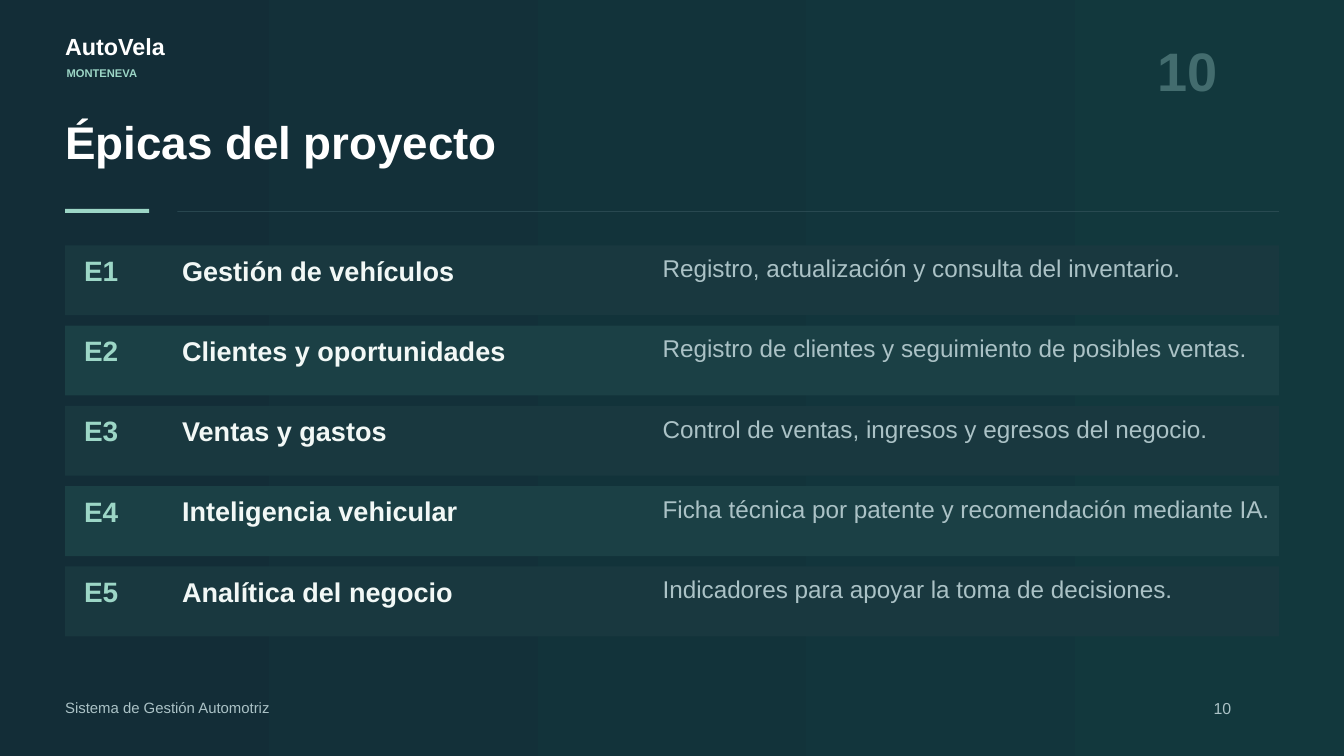
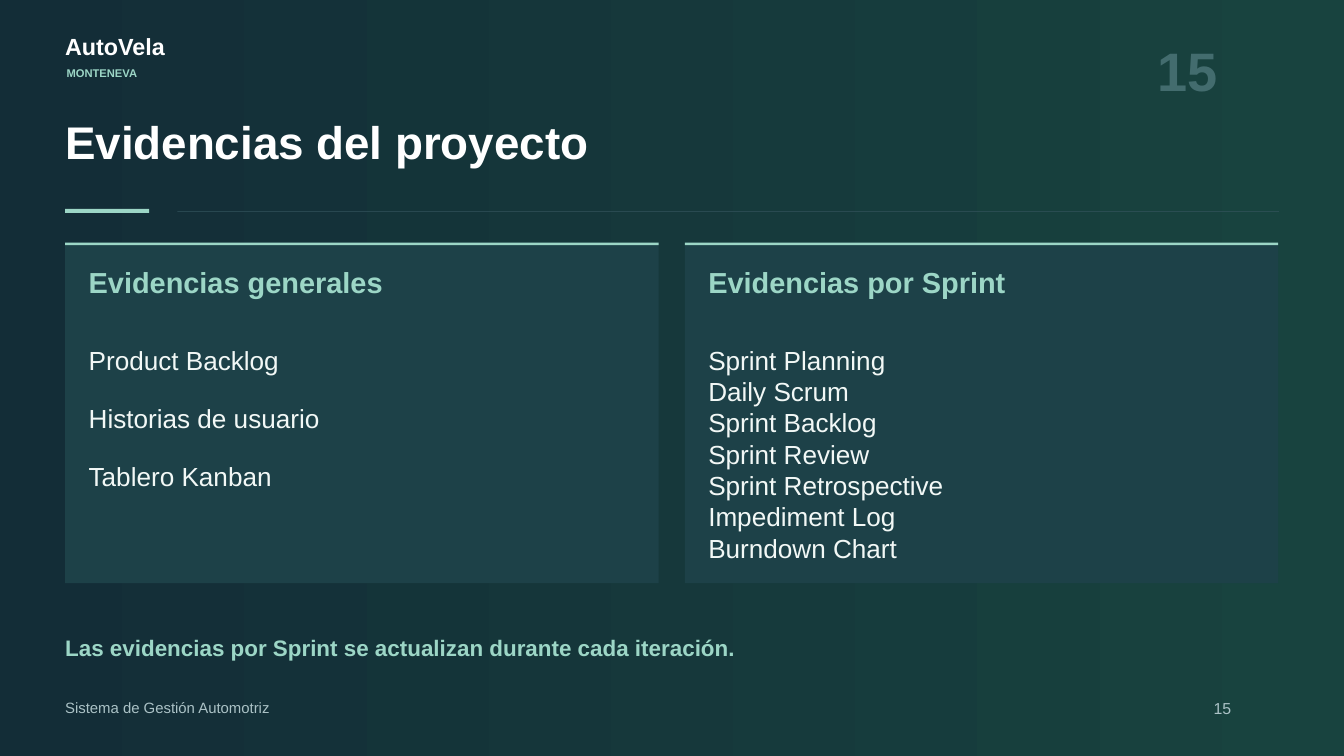
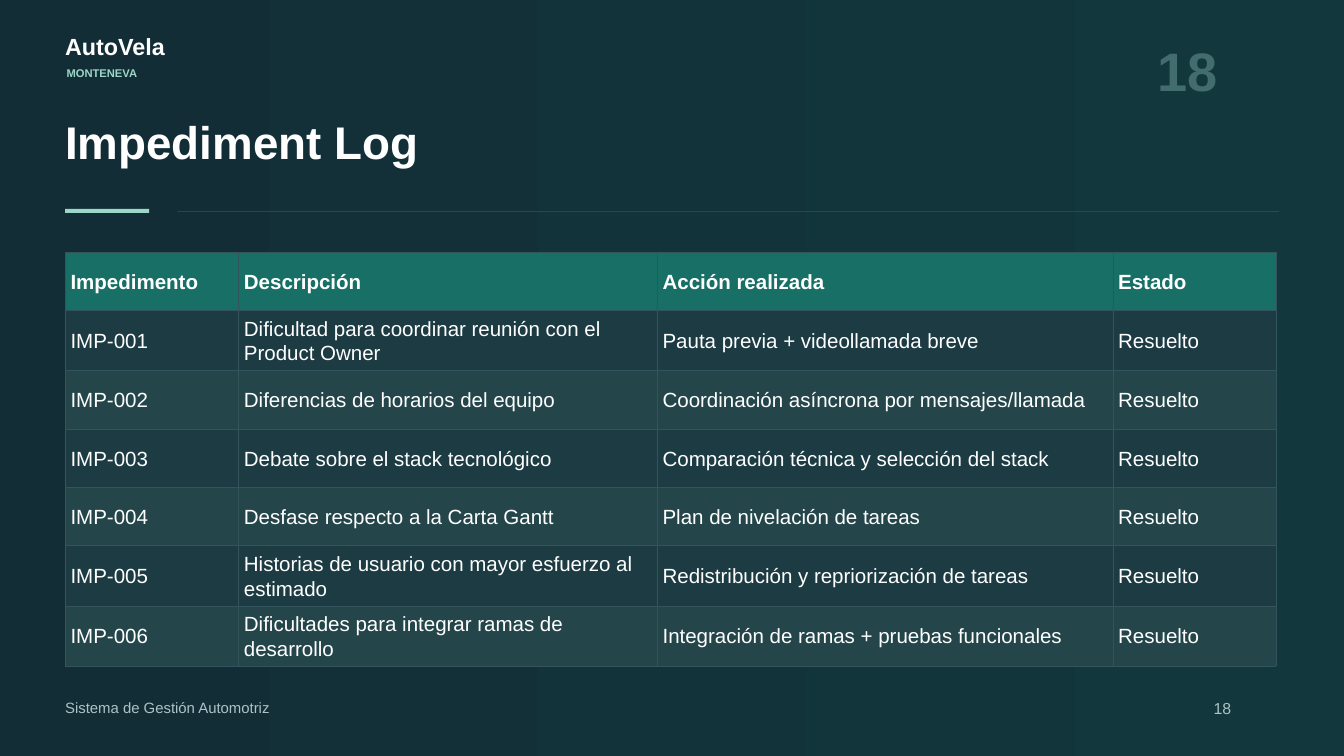
from lxml.etree import SubElement
from pptx import Presentation
from pptx.dml.color import RGBColor
from pptx.enum.shapes import MSO_SHAPE
from pptx.enum.text import MSO_ANCHOR, MSO_AUTO_SIZE, PP_ALIGN
from pptx.oxml.ns import qn
from pptx.util import Inches, Pt

FONT = "Arial"
WHITE = RGBColor(0xFF, 0xFF, 0xFF)
OFF_WHITE = RGBColor(0xF2, 0xF8, 0xF6)
MINT = RGBColor(0x9C, 0xD6, 0xC6)
MUTED = RGBColor(0xAB, 0xC2, 0xC6)
GHOST = RGBColor(0x43, 0x6C, 0x6E)
RULE = RGBColor(0x34, 0x54, 0x5D)
NAVY = RGBColor(0x13, 0x2D, 0x37)
TEAL = RGBColor(0x12, 0x38, 0x3D)
GREEN = RGBColor(0x18, 0x43, 0x3F)
CARD = RGBColor(0x1D, 0x41, 0x48)
STRIPES = [RGBColor(0x19, 0x38, 0x3F), RGBColor(0x1B, 0x40, 0x45)]
HEADER_FILL = RGBColor(0x17, 0x6F, 0x66)
ROW_FILLS = [RGBColor(0x1C, 0x3B, 0x43), RGBColor(0x24, 0x46, 0x4B)]

MARGIN = 0.97
CONTENT_WIDTH = 18.06


def write(shape, lines, size, color, bold=False, gap=0):
    """Fill a shape with one paragraph per line, without insets, gap points apart."""
    frame = shape.text_frame
    frame.word_wrap = True
    frame.auto_size = MSO_AUTO_SIZE.NONE
    frame.vertical_anchor = MSO_ANCHOR.TOP
    frame.margin_left = frame.margin_right = frame.margin_top = frame.margin_bottom = 0
    frame.text = "\n".join(lines)
    for index, paragraph in enumerate(frame.paragraphs):
        paragraph.alignment = PP_ALIGN.LEFT
        paragraph.line_spacing = Pt(size * 1.2)
        paragraph.space_before = Pt(gap if index else 0)
        font = paragraph.font
        font.name, font.size, font.bold = FONT, Pt(size), bold
        font.color.rgb = color


def add_bar(slide, left, top, width, height, color):
    bar = slide.shapes.add_shape(
        MSO_SHAPE.RECTANGLE, Inches(left), Inches(top), Inches(width), Inches(height))
    bar.shadow.inherit = False
    bar.fill.solid()
    bar.fill.fore_color.rgb = color
    bar.line.fill.background()


presentation = Presentation()
presentation.slide_width = Inches(20)
presentation.slide_height = Inches(11.25)
title_only = presentation.slide_layouts[5]

# Shared frame: background, brand, title, rules and footer
slides = []
for title_text, number, end_color in [
    ("Épicas del proyecto", "10", TEAL),
    ("Evidencias del proyecto", "15", GREEN),
    ("Impediment Log", "18", TEAL),
]:
    slide = presentation.slides.add_slide(title_only)
    slides.append(slide)
    background = slide.background.fill
    background.gradient()
    background.gradient_angle = 0
    for stop, color in zip(background.gradient_stops, (NAVY, end_color)):
        stop.color.rgb = color

    title = slide.shapes.title
    title.left, title.top = Inches(MARGIN), Inches(1.69)
    title.width, title.height = Inches(CONTENT_WIDTH), Inches(1.41)
    write(title, [title_text], 49, WHITE, bold=True)

    for text, left, top, width, height, size, color, bold in [
        ("AutoVela", MARGIN, 0.48, 3.33, 0.48, 25, WHITE, True),
        ("MONTENEVA", 0.99, 0.98, 3.47, 0.33, 12, MINT, True),
        (number, 17.22, 0.55, 1.81, 1.05, 58, GHOST, True),
        (number, 18.06, 10.4, 0.97, 0.41, 17, MUTED, False),
        ("Sistema de Gestión Automotriz", MARGIN, 10.4, 8.33, 0.41, 16, MUTED, False),
    ]:
        box = slide.shapes.add_textbox(
            Inches(left), Inches(top), Inches(width), Inches(height))
        write(box, [text], size, color, bold)
    add_bar(slide, MARGIN, 3.11, 1.25, 0.06, MINT)
    add_bar(slide, 2.64, 3.14, 16.39, 0.01, RULE)

epics_slide, evidence_slide, impediment_slide = slides

# Epics: striped rows
epics = [
    ("Gestión de vehículos", "Registro, actualización y consulta del inventario."),
    ("Clientes y oportunidades", "Registro de clientes y seguimiento de posibles ventas."),
    ("Ventas y gastos", "Control de ventas, ingresos y egresos del negocio."),
    ("Inteligencia vehicular", "Ficha técnica por patente y recomendación mediante IA."),
    ("Analítica del negocio", "Indicadores para apoyar la toma de decisiones."),
]
first_top, last_top = 3.65, 8.43
row_step = (last_top - first_top) / (len(epics) - 1)
for index, (name, description) in enumerate(epics):
    top = first_top + index * row_step
    add_bar(epics_slide, MARGIN, top, CONTENT_WIDTH, 1.04, STRIPES[index % 2])
    for text, left, offset, width, height, size, color, bold in [
        (f"E{index + 1}", 1.25, 0.12, 1.39, 0.65, 30, MINT, True),
        (name, 2.71, 0.13, 6.11, 0.64, 29, OFF_WHITE, True),
        (description, 9.86, 0.12, 9.17, 0.78, 26, MUTED, False),
    ]:
        box = epics_slide.shapes.add_textbox(
            Inches(left), Inches(top + offset), Inches(width), Inches(height))
        write(box, [text], size, color, bold)

# Evidence: two cards and a closing note
for left, heading, items, gap in [
    (MARGIN, "Evidencias generales",
     ["Product Backlog", "Historias de usuario", "Tablero Kanban"], 28.8),
    (10.19, "Evidencias por Sprint",
     ["Sprint Planning", "Daily Scrum", "Sprint Backlog", "Sprint Review",
      "Sprint Retrospective", "Impediment Log", "Burndown Chart"], 0),
]:
    add_bar(evidence_slide, left, 3.61, 8.83, 5.07, CARD)
    add_bar(evidence_slide, left, 3.61, 8.83, 0.04, MINT)
    text_left, text_width = Inches(left + 0.35), Inches(8.14)
    heading_box = evidence_slide.shapes.add_textbox(
        text_left, Inches(3.94), text_width, Inches(1.06))
    write(heading_box, [heading], 31, MINT, bold=True)
    items_box = evidence_slide.shapes.add_textbox(
        text_left, Inches(5.12), text_width, Inches(4.88))
    write(items_box, items, 28, OFF_WHITE, gap=gap)

note = evidence_slide.shapes.add_textbox(
    Inches(MARGIN), Inches(9.43), Inches(17.92), Inches(0.64))
write(note, ["Las evidencias por Sprint se actualizan durante cada iteración."],
      24, MINT, bold=True)

# Impediment log: table
impediments = [
    ("Dificultad para coordinar reunión con el Product Owner",
     "Pauta previa + videollamada breve"),
    ("Diferencias de horarios del equipo",
     "Coordinación asíncrona por mensajes/llamada"),
    ("Debate sobre el stack tecnológico",
     "Comparación técnica y selección del stack"),
    ("Desfase respecto a la Carta Gantt",
     "Plan de nivelación de tareas"),
    ("Historias de usuario con mayor esfuerzo al estimado",
     "Redistribución y repriorización de tareas"),
    ("Dificultades para integrar ramas de desarrollo",
     "Integración de ramas + pruebas funcionales"),
]
rows = [("Impedimento", "Descripción", "Acción realizada", "Estado")]
for number, (description, action) in enumerate(impediments, start=1):
    rows.append((f"IMP-{number:03}", description, action, "Resuelto"))

column_widths = [2.58, 6.23, 6.78, 2.43]
table = impediment_slide.shapes.add_table(
    len(rows), len(column_widths), Inches(MARGIN), Inches(3.75),
    Inches(sum(column_widths)), Inches(6.09)).table
table.horz_banding = False
for column, width in zip(table.columns, column_widths):
    column.width = Inches(width)

for row_index, row in enumerate(rows):
    is_header = row_index == 0
    table.rows[row_index].height = Inches(0.87)
    for column_index, text in enumerate(row):
        cell = table.cell(row_index, column_index)
        cell.text = text
        cell.vertical_anchor = MSO_ANCHOR.MIDDLE
        cell.margin_left = cell.margin_right = Inches(0.08)
        cell.margin_top = cell.margin_bottom = Inches(0.08)
        properties = cell._tc.get_or_add_tcPr()
        for side in ("lnL", "lnR", "lnT", "lnB"):
            border = SubElement(properties, qn(f"a:{side}"), w=str(Pt(0.75)))
            border_fill = SubElement(border, qn("a:solidFill"))
            SubElement(border_fill, qn("a:srgbClr"), val=str(RULE))
        cell.fill.solid()
        cell.fill.fore_color.rgb = HEADER_FILL if is_header else ROW_FILLS[(row_index - 1) % 2]
        paragraph = cell.text_frame.paragraphs[0]
        paragraph.line_spacing = Pt(26.4)
        font = paragraph.font
        font.name, font.size, font.bold = FONT, Pt(22), is_header
        font.color.rgb = WHITE

presentation.save("out.pptx")
